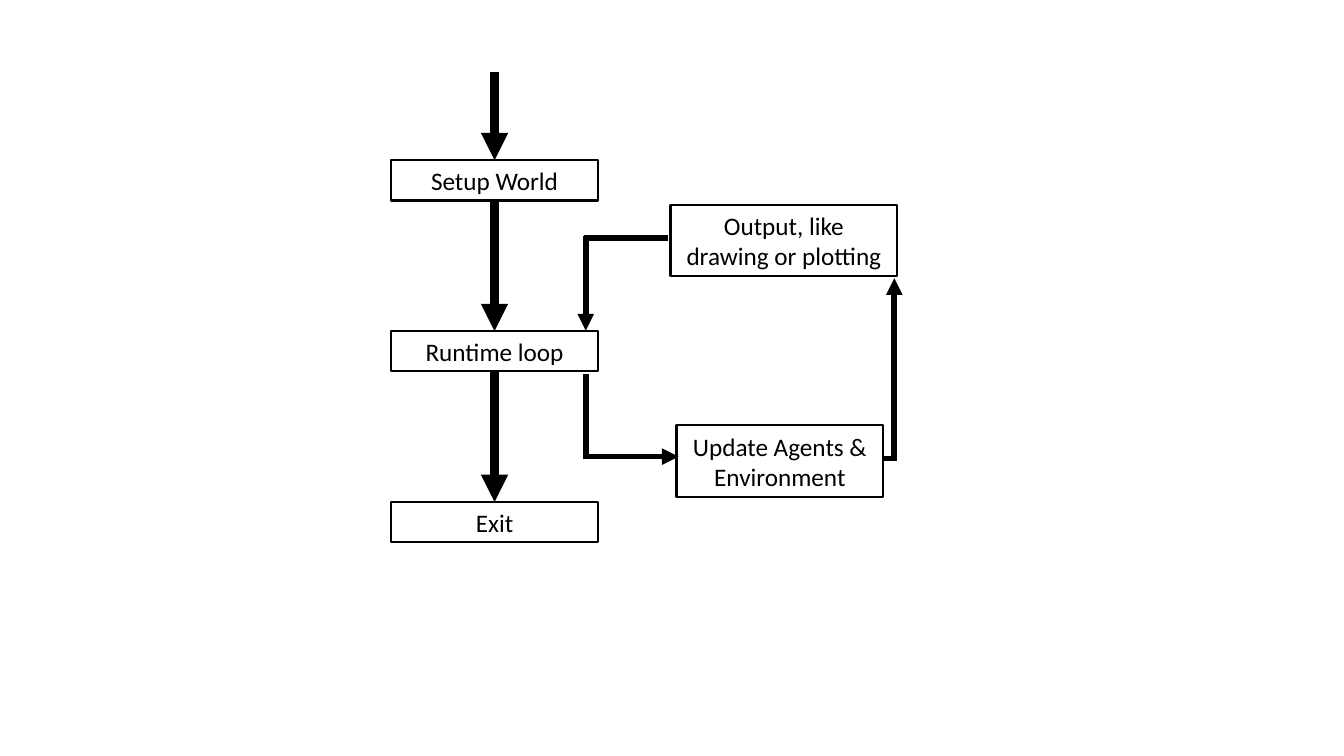
from pptx import Presentation
from pptx.dml.color import RGBColor
from pptx.enum.shapes import MSO_CONNECTOR as Connector, MSO_SHAPE as Shape
from pptx.enum.text import MSO_ANCHOR as Anchor, PP_ALIGN as Align
from pptx.oxml.ns import qn
from pptx.util import Inches, Pt
from lxml.etree import SubElement

COLORS = {"ink": "000000", "paper": "FFFFFF"}
BOX_WIDTH, LINE_BOX, TWO_LINE_BOX = 2.05, 0.4, 0.71
MAIN_LEFT, FIRST_ROW, ROW_STEP = 3.88, 1.59, 1.695
MAIN_AXIS = MAIN_LEFT + BOX_WIDTH / 2
LOOP_AXIS, RETURN_AXIS = 5.81, 8.87
OVERLAP = 0.02

deck = Presentation()
deck.slide_width, deck.slide_height = Inches(13.33), Inches(7.5)
page = deck.slides.add_slide(deck.slide_layouts[6])
page.background.fill.solid()
page.background.fill.fore_color.rgb = RGBColor.from_string(COLORS["paper"])


def add_box(text, left, top, width=BOX_WIDTH, height=LINE_BOX, size=18, font="Calibri", color="ink"):
    box = page.shapes.add_shape(
        Shape.RECTANGLE, Inches(left), Inches(top), Inches(width), Inches(height))
    box.shadow.inherit = False
    box.fill.background()
    box.line.color.rgb = RGBColor.from_string(COLORS[color])
    box.line.width = Pt(1.5)
    frame = box.text_frame
    frame.word_wrap = True
    frame.vertical_anchor = Anchor.MIDDLE
    frame.text = text
    for para in frame.paragraphs:
        para.alignment = Align.CENTER
        para.font.size = Pt(size)
        para.font.name = font
        para.font.color.rgb = RGBColor.from_string(COLORS[color])


def add_line(shapes, start, end, width=4, arrow=False):
    line = shapes.add_connector(Connector.STRAIGHT, *map(Inches, start + end))
    line.line.color.rgb = RGBColor.from_string(COLORS["ink"])
    line.line.width = Pt(width)
    if arrow:
        SubElement(line.line._get_or_add_ln(), qn("a:tailEnd"), type="triangle")
    SubElement(line._element.spPr, qn("a:effectLst"))


arrow_top = 0.71
for row, step in enumerate(["Setup World", "Runtime loop", "Exit"]):
    top = FIRST_ROW + row * ROW_STEP
    add_line(page.shapes, (MAIN_AXIS, arrow_top), (MAIN_AXIS, top), width=6.5, arrow=True)
    add_box(step, MAIN_LEFT, top)
    arrow_top = top + LINE_BOX

add_box("Update Agents &\nEnvironment", 6.71, 4.22, height=TWO_LINE_BOX)
add_box("Output, like drawing or plotting", 6.65, 2.03, width=2.25, height=TWO_LINE_BOX)

output_row, update_row, return_row = 2.36, 4.53, 4.55
elbows = [
    [((LOOP_AXIS, output_row - OVERLAP), (LOOP_AXIS, 3.28), True),
     ((6.63, output_row), (LOOP_AXIS - OVERLAP, output_row), False)],
    [((LOOP_AXIS - OVERLAP, update_row), (6.73, update_row), True),
     ((LOOP_AXIS, 3.71), (LOOP_AXIS, update_row + OVERLAP), False)],
    [((RETURN_AXIS, return_row + OVERLAP), (RETURN_AXIS, 2.76), True),
     ((6.71 + BOX_WIDTH, return_row), (RETURN_AXIS, return_row), False)],
]
for elbow in elbows:
    group = page.shapes.add_group_shape()
    for start, end, arrow in elbow:
        add_line(group.shapes, start, end, arrow=arrow)

deck.save("out.pptx")
